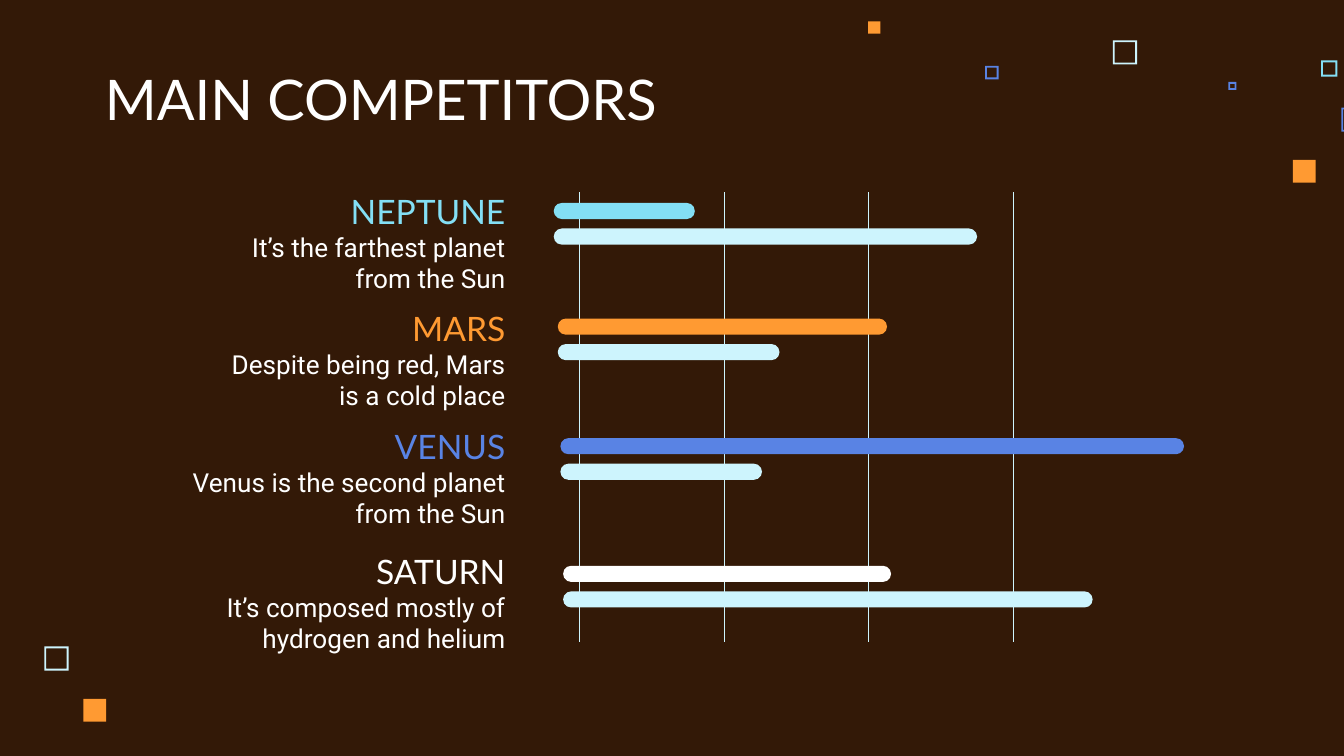
from dataclasses import dataclass

import pptx
import pptx.dml.color
import pptx.enum.shapes
import pptx.enum.text
import pptx.oxml.xmlchemy
import pptx.util

Inches = pptx.util.Inches
SHAPE = pptx.enum.shapes.MSO_SHAPE
ALIGN = pptx.enum.text.PP_ALIGN
ANCHOR = pptx.enum.text.MSO_ANCHOR


@dataclass(frozen=True)
class Theme:
    ground: str = "331907"
    white: str = "FFFFFF"
    pale: str = "CDF4FD"
    sky: str = "83DFF5"
    blue: str = "5983E4"
    orange: str = "FF9A32"
    head_font: str = "Lato"
    body_font: str = "Roboto"
    title_size: float = 30
    name_size: float = 18
    note_size: float = 14
    note_space: float = 16
    line_width: float = 0.25
    rim_width: float = 1


@dataclass(frozen=True)
class Square:
    left: float
    top: float
    side: float
    color: str
    solid: bool = False


@dataclass(frozen=True)
class Planet:
    name: str
    note: str
    color: str
    top: float
    note_width: float
    bar_left: float
    bar_top: float
    bars: tuple[float, float]


THEME = Theme()
RIGHT = 3.86  # shared right edge of the labels
NAME_WIDTH, NAME_HEIGHT = 2.06, 0.43
NOTE_DROP, NOTE_HEIGHT = 0.23, 0.71
BAR_HEIGHT, BAR_STEP = 0.12, 0.19
GRID_LEFT, GRID_RIGHT, GRID_TOP, GRID_END = 4.31, 7.54, 1.43, 4.78
GRID_COUNT = 4

SQUARES = [
    Square(8.28, 0.3, 0.18, THEME.pale),
    Square(9.83, 0.45, 0.12, THEME.sky),
    Square(9.14, 0.61, 0.06, THEME.blue),
    Square(9.98, 0.8, 0.18, THEME.blue),
    Square(9.62, 1.19, 0.17, THEME.orange, True),
    Square(7.33, 0.49, 0.1, THEME.blue),
    Square(6.46, 0.16, 0.09, THEME.orange, True),
    Square(0.33, 4.81, 0.18, THEME.pale),
    Square(0.62, 5.2, 0.17, THEME.orange, True),
]

PLANETS = [
    Planet("NEPTUNE", "It’s the farthest planet from the Sun", THEME.sky,
           1.39, 2.45, 4.12, 1.51, (1.05, 3.15)),
    Planet("MARS", "Despite being red, Mars is a cold place", THEME.orange,
           2.26, 2.36, 4.15, 2.37, (2.45, 1.65)),
    Planet("VENUS", "Venus is the second planet from the Sun", THEME.blue,
           3.14, 2.61, 4.17, 3.26, (4.64, 1.5)),
    Planet("SATURN", "It’s composed mostly of hydrogen and helium", THEME.white,
           4.07, 2.61, 4.19, 4.21, (2.44, 3.94)),
]


def rgb(color: str) -> pptx.dml.color.RGBColor:
    return pptx.dml.color.RGBColor.from_string(color)


def place(shape, left: float, top: float, width: float, height: float) -> None:
    shape.left, shape.top = Inches(left), Inches(top)
    shape.width, shape.height = Inches(width), Inches(height)


def write(shape, text: str, font: str, size: float, color: str,
          align=ALIGN.RIGHT, anchor=ANCHOR.BOTTOM, after: float = 0) -> None:
    frame = shape.text_frame
    frame.text = text
    frame.word_wrap = True
    frame.auto_size = pptx.enum.text.MSO_AUTO_SIZE.NONE
    frame.vertical_anchor = anchor
    frame.margin_left = frame.margin_right = Inches(0.1)
    frame.margin_top = frame.margin_bottom = Inches(0.1)
    line = frame.paragraphs[0]
    line.alignment = align
    line.space_after = pptx.util.Pt(after)
    style = line.runs[0].font
    style.name, style.size = font, pptx.util.Pt(size)
    style.color.rgb = rgb(color)


def add_solid(slide, kind, left: float, top: float, width: float,
              height: float, color: str):
    shape = slide.shapes.add_shape(
        kind, Inches(left), Inches(top), Inches(width), Inches(height))
    shape.shadow.inherit = False
    shape.fill.solid()
    shape.fill.fore_color.rgb = rgb(color)
    shape.line.fill.background()
    return shape


def add_square(slide, square: Square) -> None:
    kind = SHAPE.RECTANGLE if square.solid else SHAPE.FRAME
    shape = add_solid(slide, kind, square.left, square.top,
                      square.side, square.side, square.color)
    if not square.solid:
        shape.adjustments[0] = pptx.util.Pt(THEME.rim_width) / shape.width


def add_grid(slide) -> None:
    step = (GRID_RIGHT - GRID_LEFT) / (GRID_COUNT - 1)
    for index in range(GRID_COUNT):
        x = Inches(GRID_LEFT + index * step)
        rule = slide.shapes.add_connector(
            pptx.enum.shapes.MSO_CONNECTOR.STRAIGHT,
            x, Inches(GRID_TOP), x, Inches(GRID_END))
        rule.line.color.rgb = rgb(THEME.pale)
        rule.line.width = pptx.util.Pt(THEME.line_width)
        rule._element.spPr.append(
            pptx.oxml.xmlchemy.OxmlElement("a:effectLst"))


def add_bars(slide, planet: Planet) -> None:
    for index, (width, color) in enumerate(
            zip(planet.bars, (planet.color, THEME.pale))):
        bar = add_solid(slide, SHAPE.ROUNDED_RECTANGLE, planet.bar_left,
                        planet.bar_top + index * BAR_STEP, width,
                        BAR_HEIGHT, color)
        bar.adjustments[0] = 0.5


def add_label(slide, planet: Planet) -> None:
    name = slide.shapes.add_textbox(0, 0, 0, 0)
    place(name, RIGHT - NAME_WIDTH, planet.top, NAME_WIDTH, NAME_HEIGHT)
    write(name, planet.name, THEME.head_font, THEME.name_size, planet.color)
    note = slide.shapes.add_textbox(0, 0, 0, 0)
    place(note, RIGHT - planet.note_width, planet.top + NOTE_DROP,
          planet.note_width, NOTE_HEIGHT)
    write(note, planet.note, THEME.body_font, THEME.note_size, THEME.white,
          anchor=ANCHOR.TOP, after=THEME.note_space)


def main() -> None:
    # Wide page, 16 to 9
    deck = pptx.Presentation()
    deck.slide_width = Inches(10)
    deck.slide_height = Inches(10 * 9 / 16)
    slide = deck.slides.add_slide(deck.slide_layouts.get_by_name("Title Only"))
    slide.background.fill.solid()
    slide.background.fill.fore_color.rgb = rgb(THEME.ground)

    # Scattered squares
    for square in SQUARES:
        add_square(slide, square)

    # Title
    title = slide.shapes.title
    place(title, 0.68, 0.45, 5.17, 0.63)
    write(title, "MAIN COMPETITORS", THEME.head_font, THEME.title_size,
          THEME.white, ALIGN.LEFT)

    # Bars over the grid, then their labels
    add_grid(slide)
    for planet in PLANETS:
        add_bars(slide, planet)
    for planet in PLANETS:
        add_label(slide, planet)

    deck.save("out.pptx")


if __name__ == "__main__":
    main()
